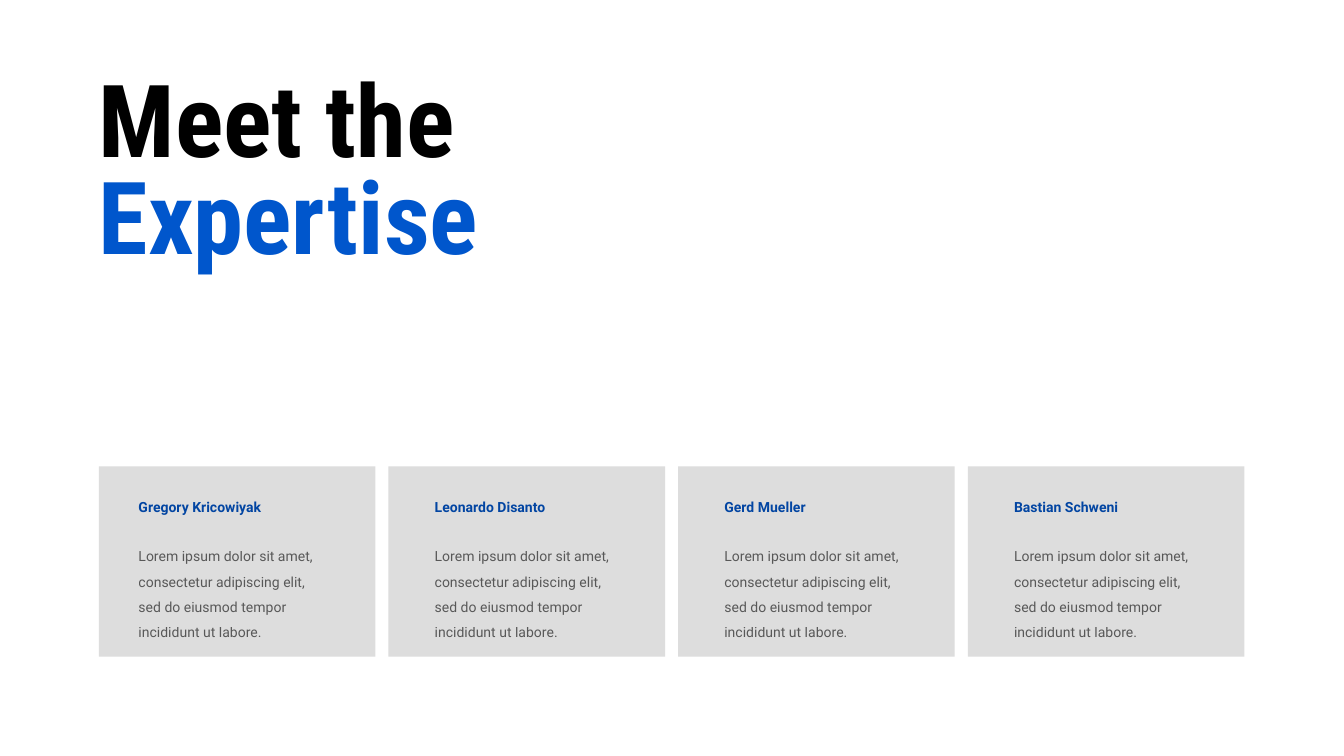
from lxml.etree import SubElement
from pptx import Presentation
from pptx.dml.color import RGBColor
from pptx.enum.shapes import MSO_SHAPE as SHAPE
from pptx.enum.text import MSO_ANCHOR as ANCHOR, MSO_AUTO_SIZE as AUTO, PP_ALIGN as ALIGN
from pptx.oxml.ns import qn
from pptx.util import Cm, Pt

COLORS = {"black": "000000", "blue": "0056CC", "navy": "0245A2", "card": "DDDDDD"}
BIO = ("Lorem ipsum dolor sit amet, consectetur adipiscing elit, "
       "sed do eiusmod tempor incididunt ut labore.")
MEMBERS = [("Gregory Kricowiyak", 1.75), ("Leonardo Disanto", 2.08),
           ("Gerd Mueller", 2.08), ("Bastian Schweni", 2.08)]
LEFT, CARD_TOP, CARD_W, CARD_H, PITCH = 4.98, 23.5, 13.94, 9.6, 14.6


def add_run(p, text, font, size, color, bold=False, alpha=None):
    """Add one formatted run, with an opacity in percent if given."""
    r = p.add_run()
    r.text = text
    r.font.name, r.font.size, r.font.bold = font, Pt(size), bold
    r.font.color.rgb = RGBColor.from_string(COLORS[color])
    if alpha is not None:
        clr = r.font.fill._xPr.find(qn("a:solidFill"))[0]
        SubElement(clr, qn("a:alpha"), val=str(alpha * 1000))


def setup_frame(tf, margin):
    """Wrap the text from the top, with equal margins."""
    tf.word_wrap = True
    tf.auto_size = AUTO.NONE
    tf.vertical_anchor = ANCHOR.TOP
    tf.margin_left = tf.margin_right = tf.margin_top = tf.margin_bottom = Cm(margin)


def add_title(slide, x, y, w, h):
    """Place the two-coloured heading in the title placeholder."""
    title = slide.shapes.title
    title.left, title.top, title.width, title.height = Cm(x), Cm(y), Cm(w), Cm(h)
    setup_frame(title.text_frame, 0)
    p = title.text_frame.paragraphs[0]
    p.alignment = ALIGN.LEFT
    p.line_spacing = 0.8
    add_run(p, "Meet the ", "Roboto Condensed", 144, "black", True)
    add_run(p, "Expertise", "Roboto Condensed", 144, "blue", True)


def add_card(slide, x, y, w, h, name, indent):
    """Draw one member card with the name and short biography."""
    sp = slide.shapes.add_shape(SHAPE.RECTANGLE, Cm(x), Cm(y), Cm(w), Cm(h))
    sp.shadow.inherit = False
    sp.fill.solid()
    sp.fill.fore_color.rgb = RGBColor.from_string(COLORS["card"])
    sp.line.fill.background()

    box = slide.shapes.add_textbox(Cm(x + indent), Cm(y + 0.94), Cm(9.75), Cm(7.7))
    tf = box.text_frame
    setup_frame(tf, 0.25)
    heading, body = tf.paragraphs[0], tf.add_paragraph()
    heading.line_spacing = body.line_spacing = 1.5
    heading.space_after = Pt(35)
    add_run(heading, name, "Roboto", 20, "navy", True)
    add_run(body, BIO, "Roboto", 20, "black", alpha=60)


def main():
    """Build and save the team slide."""
    prs = Presentation()
    prs.slide_width, prs.slide_height = Cm(67.74), Cm(38.1)
    slide = prs.slides.add_slide(prs.slide_layouts[5])
    add_title(slide, LEFT, 4.06, 21.6, 11)
    for i, (name, indent) in enumerate(MEMBERS):
        add_card(slide, LEFT + i * PITCH, CARD_TOP, CARD_W, CARD_H, name, indent)
    prs.save("out.pptx")


if __name__ == "__main__":
    main()
